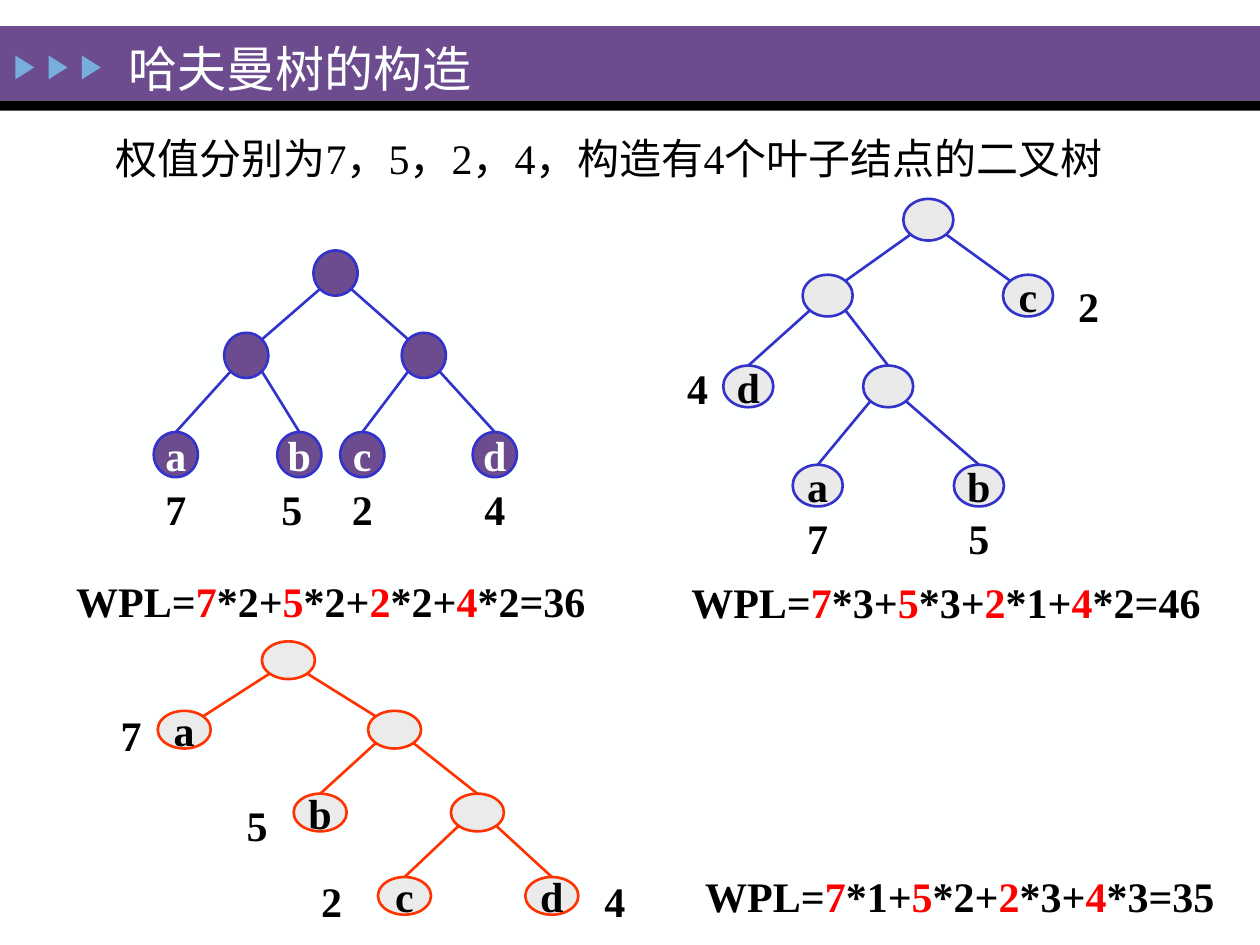
from dataclasses import dataclass
from math import sqrt
from typing import NamedTuple, Optional

from lxml.etree import SubElement
from pptx import Presentation
from pptx.dml.color import RGBColor as RGB
from pptx.enum.shapes import MSO_CONNECTOR as Conn, MSO_SHAPE as Shape
from pptx.enum.text import MSO_ANCHOR as Anchor, MSO_AUTO_SIZE as Fit, PP_ALIGN as Align
from pptx.oxml.ns import qn
from pptx.util import Cm, Pt


@dataclass(frozen=True)
class Theme:
    paper: RGB = RGB(0xFE, 0xFF, 0xFF)
    ink: RGB = RGB(0, 0, 0)
    purple: RGB = RGB(0x6C, 0x4C, 0x8F)
    arrow: RGB = RGB(0x76, 0xAE, 0xDD)
    blue: RGB = RGB(0x33, 0x33, 0xCC)
    orange: RGB = RGB(0xFF, 0x33, 0x00)
    weight: RGB = RGB(0xFF, 0, 0)
    gray: RGB = RGB(0xEA, 0xEA, 0xEA)
    pale: RGB = RGB(0xEB, 0xEB, 0xEB)
    font: str = "Times New Roman"
    title: Pt = Pt(28)
    body: Pt = Pt(24)
    stroke: Pt = Pt(1.5)


T = Theme()
WEIGHTS = {"a": 7, "b": 5, "c": 2, "d": 4}


class Node(NamedTuple):
    x: float
    y: float
    parent: Optional[int] = None
    leaf: str = ""
    tag: Optional[tuple[float, float]] = None


class Tree(NamedTuple):
    w: float
    h: float
    fill: RGB
    line: RGB
    ink: RGB
    nodes: list[Node]
    formula: tuple[float, float, float]


TREES = [
    Tree(1.01, 0.84, T.gray, T.blue, T.ink, [
        Node(18.21, 4.01),
        Node(16.18, 5.54, 0),
        Node(20.22, 5.54, 0, "c", (21.44, 5.54)),
        Node(14.58, 7.37, 1, "d", (13.56, 7.19)),
        Node(17.4, 7.37, 1),
        Node(15.98, 9.37, 4, "a", (15.98, 10.21)),
        Node(19.23, 9.37, 4, "b", (19.23, 10.21)),
    ], (13.67, 11.5, 10.8)),
    Tree(1.07, 0.76, T.pale, T.orange, T.ink, [
        Node(5.28, 12.93),
        Node(3.18, 14.33, 0, "a", (2.11, 14.17)),
        Node(7.42, 14.33, 0),
        Node(5.92, 16, 2, "b", (4.65, 16)),
        Node(9.09, 16, 2),
        Node(7.62, 17.68, 4, "c", (6.15, 17.53)),
        Node(10.59, 17.68, 4, "d", (11.86, 17.53)),
    ], (13.95, 17.42, 10.8)),
    Tree(0.89, 0.91, T.purple, T.blue, T.paper, [
        Node(6.32, 5.05),
        Node(4.52, 6.71, 0),
        Node(8.1, 6.71, 0),
        Node(3.1, 8.71, 1, "a", (3.1, 9.63)),
        Node(5.59, 8.71, 1, "b", (5.44, 9.63)),
        Node(6.86, 8.71, 2, "c", (6.86, 9.63)),
        Node(9.53, 8.71, 2, "d", (9.53, 9.63)),
    ], (1.17, 11.48, 11)),
]


def write(sp, runs: list[tuple[str, RGB]], size=T.body, bold=True, align=Align.CENTER, **frame) -> None:
    tf = sp.text_frame
    for name, value in frame.items():
        setattr(tf, name, value)
    p = tf.paragraphs[0]
    p.alignment = align
    for text, color in runs:
        r = p.add_run()
        r.text = text
        for name, value in {"name": T.font, "size": size, "bold": bold}.items():
            setattr(r.font, name, value)
        r.font.color.rgb = color


def add_text(shapes, box: tuple, runs: list[tuple[str, RGB]], **fmt) -> None:
    sp = shapes.add_textbox(*map(Cm, box))
    write(sp, runs, **{"word_wrap": True, "auto_size": Fit.SHAPE_TO_FIT_TEXT, **fmt})


def add_solid(shapes, kind: Shape, box: tuple, fill: RGB, line: Optional[RGB] = None):
    sp = shapes.add_shape(kind, *map(Cm, box))
    sp.shadow.inherit = False
    sp.fill.solid()
    sp.fill.fore_color.rgb = fill
    if line is None:
        sp.line.fill.background()
    else:
        sp.line.color.rgb = line
        sp.line.width = T.stroke
    return sp


def add_edge(shapes, tree: Tree, child: Node, sp) -> None:
    parent = tree.nodes[child.parent]
    side = 1 if child.x > parent.x else -1
    dx, dy = tree.w / sqrt(8), tree.h / sqrt(8)
    mid_x, mid_y = tree.w / 2, tree.h / 2
    start = parent.x + mid_x + side * dx, parent.y + mid_y + dy
    end = child.x + mid_x - side * dx, child.y + mid_y - dy
    edge = shapes.add_connector(Conn.STRAIGHT, *map(Cm, start + end))
    if child.parent != 0:
        edge.end_connect(sp, 0)
    edge.line.color.rgb = tree.line
    edge.line.width = T.stroke
    SubElement(edge._element.spPr, qn("a:effectLst"))


def depth(tree: Tree, node: Node) -> int:
    return 0 if node.parent is None else 1 + depth(tree, tree.nodes[node.parent])


def formula(tree: Tree) -> list[tuple[str, RGB]]:
    depths = {n.leaf: depth(tree, n) for n in tree.nodes if n.leaf}
    total = sum(w * depths[leaf] for leaf, w in WEIGHTS.items())
    runs = [("WPL=", T.ink)]
    for leaf, w in WEIGHTS.items():
        tail = f"={total}" if leaf == "d" else "+"
        runs += [(str(w), T.weight), (f"*{depths[leaf]}{tail}", T.ink)]
    return runs


def add_tree(slide, tree: Tree) -> None:
    shapes = slide.shapes.add_group_shape().shapes
    for node in tree.nodes:
        sp = add_solid(shapes, Shape.OVAL, (node.x, node.y, tree.w, tree.h), tree.fill, tree.line)
        if node.leaf:
            write(sp, [(node.leaf, tree.ink)], word_wrap=False, vertical_anchor=Anchor.MIDDLE)
            add_text(shapes, (*node.tag, tree.w, 1.28), [(str(WEIGHTS[node.leaf]), T.ink)],
                     margin_left=0, margin_right=0)
        if node.parent is not None:
            add_edge(shapes, tree, node, sp)
    x, y, w = tree.formula
    add_text(slide.shapes, (x, y, w, 1.28), formula(tree))


def add_header(slide) -> None:
    add_solid(slide.shapes, Shape.RECTANGLE, (0, 0.53, 25.4, 1.5), T.purple)
    add_solid(slide.shapes, Shape.RECTANGLE, (0, 2.03, 25.4, 0.2), T.ink)
    arrows = slide.shapes.add_group_shape().shapes
    for i in range(3):
        sp = add_solid(arrows, Shape.ISOSCELES_TRIANGLE, (0.26 + 0.67 * i, 1.17, 0.48, 0.38), T.arrow)
        sp.rotation = 90
    plain = {"bold": False, "align": Align.LEFT, "vertical_anchor": Anchor.MIDDLE, "auto_size": Fit.NONE}
    add_text(slide.shapes, (2.34, 0.64, 9.3, 1.45), [("哈夫曼树的构造", T.paper)], size=T.title, **plain)
    add_text(slide.shapes, (2.08, 2.46, 22.63, 1.42),
             [("权值分别为7，5，2，4，构造有4个叶子结点的二叉树", T.ink)], **plain)


def main() -> None:
    prs = Presentation()
    prs.slide_width, prs.slide_height = Cm(25.4), Cm(19.05)
    slide = prs.slides.add_slide(prs.slide_layouts[6])
    slide.background.fill.solid()
    slide.background.fill.fore_color.rgb = T.paper
    add_header(slide)
    for tree in TREES:
        add_tree(slide, tree)
    prs.save("out.pptx")


if __name__ == "__main__":
    main()
